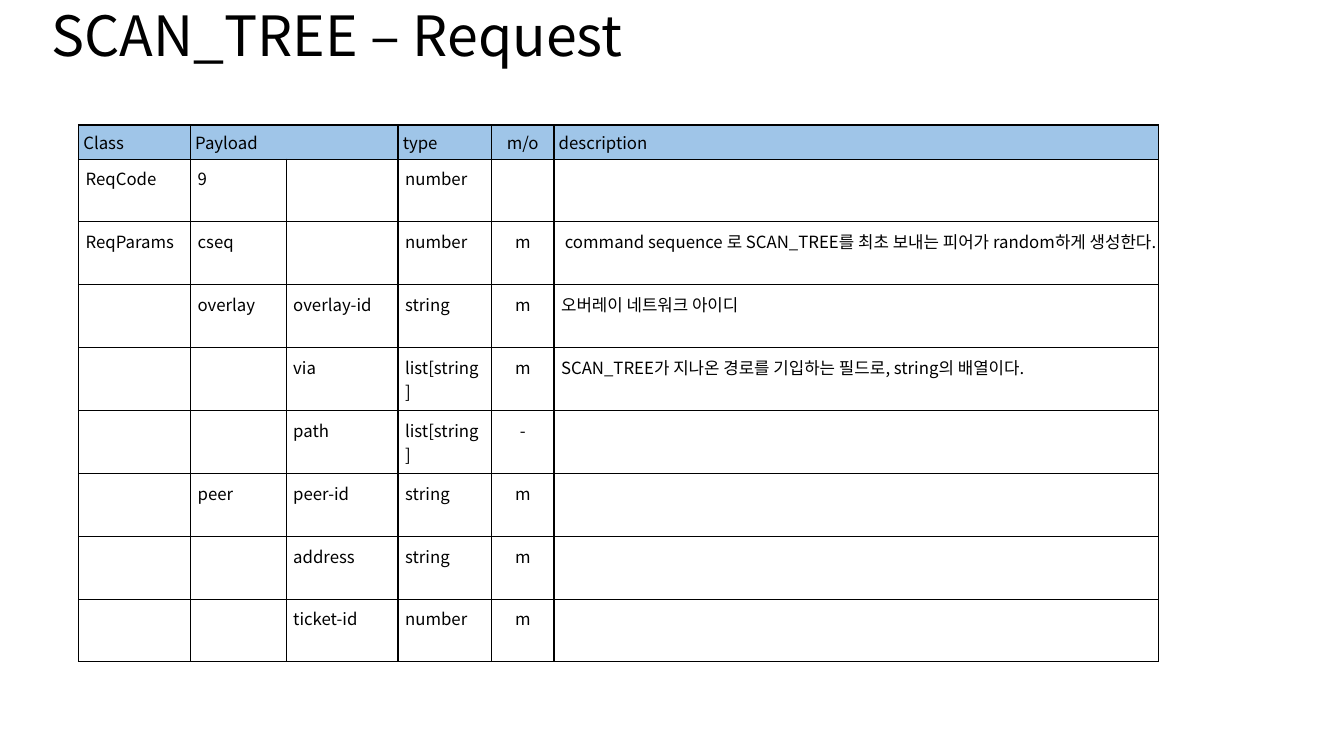
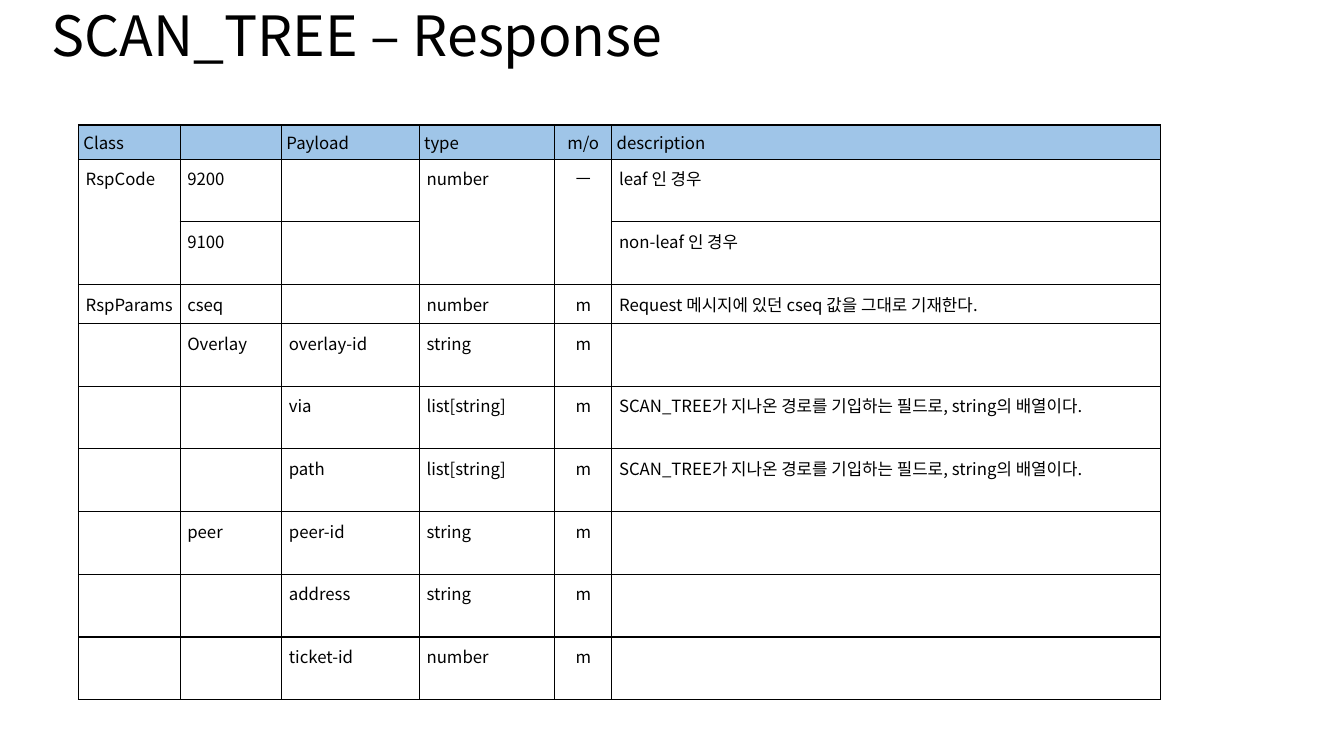
"""Build the SCAN_TREE request and response message tables."""
from lxml import etree
from pptx import Presentation
from pptx import util as u
from pptx.dml.color import RGBColor
from pptx.enum import text
from pptx.oxml import ns

COLORS = {"ink": "000000", "header": "9FC5E8", "page": "FFFFFF"}
FONT = "Noto Sans CJK KR"
TITLE_SIZE, TABLE_SIZE = u.Pt(39.6), u.Pt(12)
TITLE_BOX = (u.Cm(1.04), u.Cm(0.05), u.Cm(31.67), u.Cm(1.83))
TABLE_LEFT, TABLE_TOP = u.Cm(1.98), u.Cm(3.15)
HEADER_HEIGHT, ROW_HEIGHT, SHORT_HEIGHT = 0.86, 1.58, 0.98
HEADER_INSET, BODY_INSET = u.Cm(0.12), u.Cm(0.18)
CENTERED_COLUMN = 4
BORDER = u.Pt(1)
PATH_NOTE = "SCAN_TREE가 지나온 경로를 기입하는 필드로, string의 배열이다."

PEER_ROWS = [
    ("", "peer", "peer-id", "string", "m", ""),
    ("", "", "address", "string", "m", ""),
    ("", "", "ticket-id", "number", "m", ""),
]

MESSAGES = [
    {
        "title": "SCAN_TREE – Request",
        "widths": (2.82, 2.41, 2.82, 2.36, 1.57, 15.24),
        "merges": [((0, 1), (0, 2))],
        "short_rows": (),
        "rows": [
            ("Class", "Payload", "", "type", "m/o", "description"),
            ("ReqCode", "9", "", "number", "", ""),
            ("ReqParams", "cseq", "", "number", "m",
             " command sequence 로 SCAN_TREE를 최초 보내는 피어가 random하게 생성한다."),
            ("", "overlay", "overlay-id", "string", "m", "오버레이 네트워크 아이디"),
            ("", "", "via", "list[string]", "m", PATH_NOTE),
            ("", "", "path", "list[string]", "-", ""),
            *PEER_ROWS,
        ],
    },
    {
        "title": "SCAN_TREE – Response",
        "widths": (2.56, 2.56, 3.47, 3.41, 1.44, 13.82),
        "merges": [((1, column), (2, column)) for column in (0, 3, 4)],
        "short_rows": (3,),
        "rows": [
            ("Class", "", "Payload", "type", "m/o", "description"),
            ("RspCode", "9200", "", "number", "ㅡ", "leaf 인 경우"),
            ("", "9100", "", "", "", "non-leaf 인 경우"),
            ("RspParams", "cseq", "", "number", "m",
             "Request 메시지에 있던 cseq 값을 그대로 기재한다."),
            ("", "Overlay", "overlay-id", "string", "m", ""),
            ("", "", "via", "list[string]", "m", PATH_NOTE),
            ("", "", "path", "list[string]", "m", PATH_NOTE),
            *PEER_ROWS,
        ],
    },
]


def add_span(para, words, size):
    """Add one run in the deck's font, for Latin and Korean letters."""
    span = para.add_run()
    span.text = words
    span.font.size = size
    span.font.color.rgb = RGBColor.from_string(COLORS["ink"])
    span.font.name = FONT
    properties = span._r.get_or_add_rPr()
    etree.SubElement(properties, ns.qn("a:ea"), typeface=FONT)


def add_borders(cell):
    """Draw the four edges of a cell."""
    properties = cell._tc.get_or_add_tcPr()
    for position, edge in enumerate(("lnL", "lnR", "lnT", "lnB")):
        line = etree.Element(ns.qn(f"a:{edge}"), w=str(BORDER))
        fill = etree.SubElement(line, ns.qn("a:solidFill"))
        etree.SubElement(fill, ns.qn("a:srgbClr"), val=COLORS["ink"])
        properties.insert(position, line)


def format_cell(cell, words, is_header, is_centered):
    """Fill, frame and write one table cell."""
    inset = HEADER_INSET if is_header else BODY_INSET
    cell.margin_left = cell.margin_right = inset
    cell.margin_top = cell.margin_bottom = inset
    cell.vertical_anchor = text.MSO_ANCHOR.TOP
    if is_header:
        cell.fill.solid()
        cell.fill.fore_color.rgb = RGBColor.from_string(COLORS["header"])
    else:
        cell.fill.background()
    add_borders(cell)
    para = cell.text_frame.paragraphs[0]
    if is_centered:
        para.alignment = text.PP_ALIGN.CENTER
    if words:
        add_span(para, words, TABLE_SIZE)
    else:
        size = str(int(TABLE_SIZE.pt * 100))
        etree.SubElement(para._p, ns.qn("a:endParaRPr"), sz=size)


def add_title(page, words):
    """Place the title placeholder and write the title."""
    box = page.shapes.title
    box.left, box.top, box.width, box.height = TITLE_BOX
    frame = box.text_frame
    frame.auto_size = text.MSO_AUTO_SIZE.NONE
    frame.vertical_anchor = text.MSO_ANCHOR.MIDDLE
    para = frame.paragraphs[0]
    para.alignment = text.PP_ALIGN.LEFT
    para.line_spacing = 0.9
    add_span(para, words, TITLE_SIZE)


def add_message_table(page, message):
    """Add the field table of one message."""
    rows, widths = message["rows"], message["widths"]
    heights = [HEADER_HEIGHT] + [ROW_HEIGHT] * (len(rows) - 1)
    for index in message["short_rows"]:
        heights[index] = SHORT_HEIGHT
    table = page.shapes.add_table(
        len(rows), len(widths), TABLE_LEFT, TABLE_TOP,
        u.Cm(sum(widths)), u.Cm(sum(heights))).table
    table.first_row = table.horz_banding = False
    for column, width in zip(table.columns, widths):
        column.width = u.Cm(width)
    for row, height in zip(table.rows, heights):
        row.height = u.Cm(height)
    for row_index, row in enumerate(rows):
        for column_index, words in enumerate(row):
            format_cell(table.cell(row_index, column_index), words,
                        row_index == 0, column_index == CENTERED_COLUMN)
    for first, last in message["merges"]:
        table.cell(*first).merge(table.cell(*last))


deck = Presentation()
deck.slide_width, deck.slide_height = u.Cm(33.87), u.Cm(19.05)
background = deck.slide_master.background.fill
background.solid()
background.fore_color.rgb = RGBColor.from_string(COLORS["page"])
title_only = deck.slide_layouts.get_by_name("Title Only")
for message in MESSAGES:
    page = deck.slides.add_slide(title_only)
    add_title(page, message["title"])
    add_message_table(page, message)
deck.save("out.pptx")
